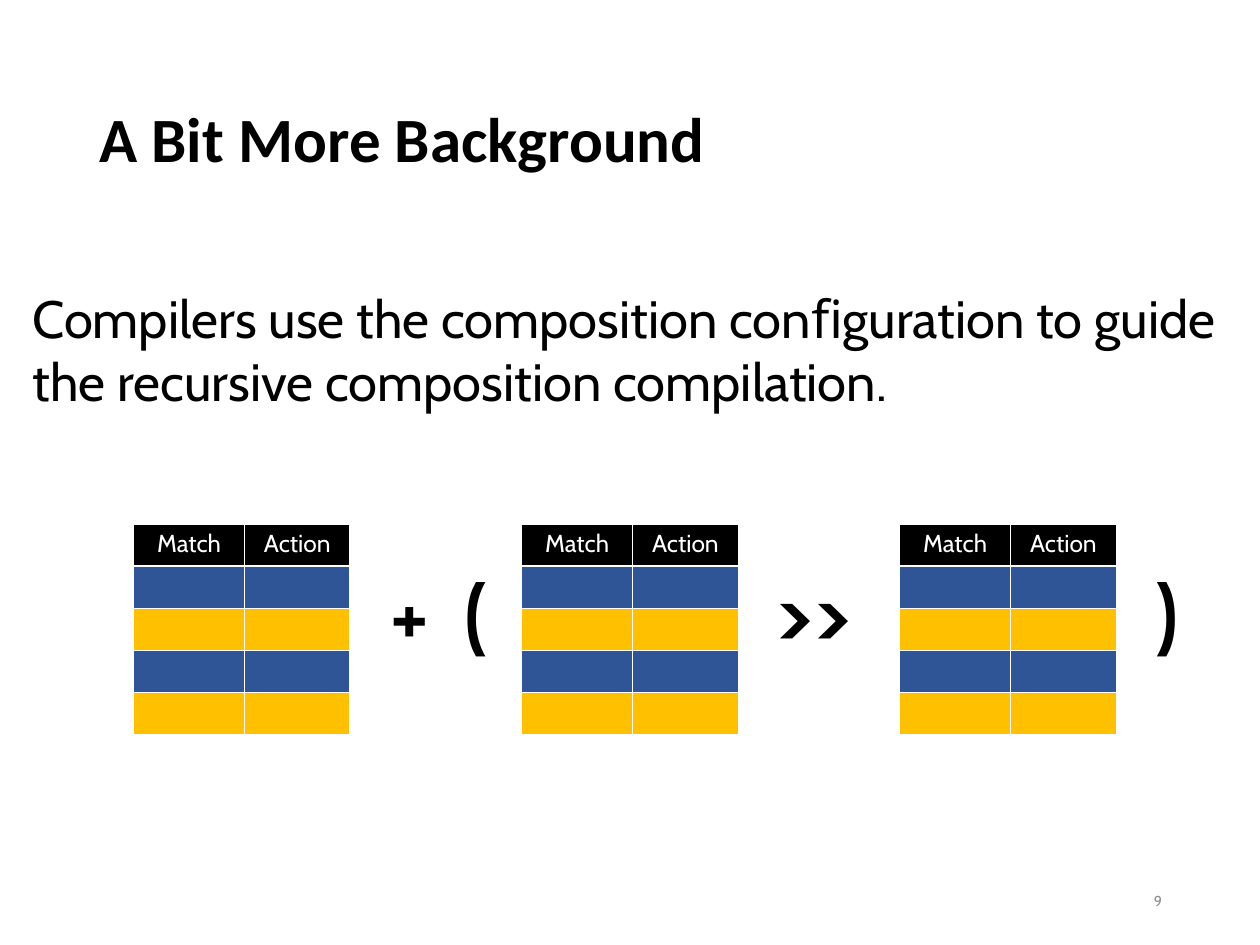
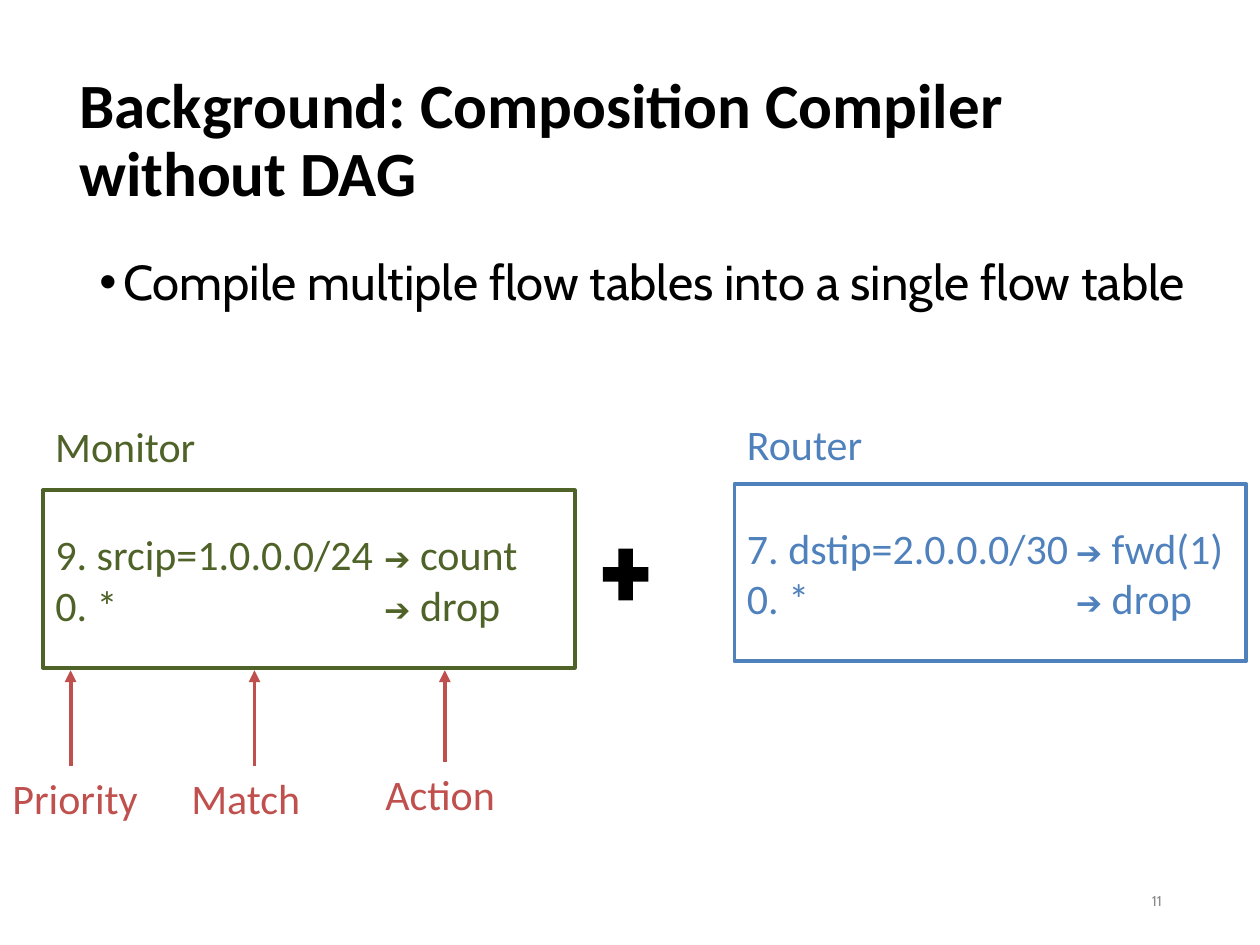
from lxml.etree import SubElement
from pptx import Presentation
from pptx.dml.color import RGBColor
from pptx.enum.shapes import MSO_CONNECTOR, MSO_SHAPE
from pptx.enum.text import MSO_ANCHOR, PP_ALIGN
from pptx.oxml.ns import qn
from pptx.util import Inches, Pt

# Shared look
BLACK, WHITE, GREY = "000000", "FFFFFF", "8C8C8C"
GREEN, BLUE, RED = "4F6228", "4F81BD", "C0504D"
ROW_FILLS = [BLACK] + ["2F5597", "FFC000"] * 2
HEAD, BODY = "Calibri", "Cabin"
COLS, ROWS = 100, 75      # the slide as a grid of 0.1 inch squares
TAB = 26.1                # where the action of a rule starts


def grid(*units):
    return [Inches(u / 10) for u in units]


def color(hex_string):
    return RGBColor.from_string(hex_string)


def write(tf, lines, size=24, font=HEAD, ink=BLACK, bold=False, align=None,
          anchor=MSO_ANCHOR.TOP, spacing=None, before=None, bullet=None, tab=None):
    """Fill a text frame; a line is a string or a list of (text, size, font)."""
    tf.vertical_anchor = anchor
    for i, line in enumerate(lines):
        p = tf.paragraphs[0] if i == 0 else tf.add_paragraph()
        p.alignment, p.line_spacing = align, spacing
        if before:
            p.space_before = Pt(before)
        pPr = p._p.get_or_add_pPr()
        if bullet:
            indent = Inches(0.19)
            pPr.set("marL", str(indent))
            pPr.set("indent", str(-indent))
            SubElement(pPr, qn("a:buFont"), typeface="Arial")
            SubElement(pPr, qn("a:buChar"), char=bullet)
        if tab:
            stops = SubElement(pPr, qn("a:tabLst"))
            SubElement(stops, qn("a:tab"), pos=str(grid(tab)[0]), algn="l")
        runs = [(line, size, font)] if isinstance(line, str) else line
        for text, run_size, run_font in runs:
            r = p.add_run()
            r.text = text
            r.font.size, r.font.name, r.font.bold = Pt(run_size), run_font, bold
            r.font.color.rgb = color(ink)


def add_text(slide, box, text, wrap=True, **fmt):
    sp = slide.shapes.add_textbox(*grid(*box))
    sp.text_frame.word_wrap = wrap
    write(sp.text_frame, [text], **fmt)
    return sp


def add_shape(slide, kind, box, fill, line=None):
    sp = slide.shapes.add_shape(kind, *grid(*box))
    sp.shadow.inherit = False
    sp.fill.solid()
    sp.fill.fore_color.rgb = color(fill)
    if line:
        sp.line.color.rgb = color(line)
        sp.line.width = Pt(2.25)
    else:
        sp.line.fill.background()
    return sp


def add_page(prs, title, left, number):
    """Blank slide with the common title and page number."""
    slide = prs.slides.add_slide(prs.slide_layouts[6])
    add_text(slide, (left, 4, 86.2, 14.5), title, size=36, bold=True,
             anchor=MSO_ANCHOR.MIDDLE, spacing=0.9)
    add_text(slide, (70.7, 69.5, 22.5, 4), number, size=8.2, font=BODY, ink=GREY,
             align=PP_ALIGN.RIGHT, anchor=MSO_ANCHOR.MIDDLE)
    return slide


def border_cell(cell):
    tcPr = cell._tc.get_or_add_tcPr()
    for i, side in enumerate(("lnL", "lnR", "lnT", "lnB")):
        ln = tcPr.makeelement(qn(f"a:{side}"), w=str(Pt(1)))
        SubElement(SubElement(ln, qn("a:solidFill")), qn("a:srgbClr"), val=WHITE)
        tcPr.insert(i, ln)


def add_flow_table(slide, left, top):
    """Match/Action table with alternating rule rows."""
    widths, height = (8.8, 8.4), 16.7
    n = len(ROW_FILLS)
    table = slide.shapes.add_table(n, 2, *grid(left, top, sum(widths), height)).table
    for col, width in zip(table.columns, widths):
        col.width = grid(width)[0]
    for i, (row, fill) in enumerate(zip(table.rows, ROW_FILLS)):
        row.height = grid(height / n)[0]
        for cell, heading in zip(row.cells, ("Match", "Action")):
            cell.margin_top = cell.margin_bottom = Inches(0.04)
            cell.fill.solid()
            cell.fill.fore_color.rgb = color(fill)
            border_cell(cell)
            if i == 0:
                write(cell.text_frame, [heading], size=14, font=BODY, ink=WHITE,
                      align=PP_ALIGN.CENTER)
            else:
                end = cell.text_frame.paragraphs[0]._p.get_or_add_endParaRPr()
                end.set("sz", "1400")


def add_rules(slide, left, name_top, box_top, width, name, rules, ink):
    """Named box with one (match, action) rule per line."""
    sp = add_shape(slide, MSO_SHAPE.RECTANGLE, (left, box_top, width, 14.1), WHITE, ink)
    lines = [[(f"{match}\t", 24, HEAD), ("➔", 18, "Arial"), (f" {action}", 24, HEAD)]
             for match, action in rules]
    write(sp.text_frame, lines, ink=ink, align=PP_ALIGN.LEFT,
          anchor=MSO_ANCHOR.MIDDLE, tab=TAB)
    add_text(slide, (left, name_top, 19.6, 5), name, ink=ink)


def add_pointer(slide, text, left, top, x, tip):
    """Label with an arrow up to the rule box."""
    width = 12
    label = add_text(slide, (left, top, width, 5), text, ink=RED)
    line = slide.shapes.add_connector(MSO_CONNECTOR.STRAIGHT, *grid(x, top, x, tip))
    if abs(left + width / 2 - x) < 0.1:
        line.begin_connect(label, 0)
    line.line.color.rgb = color(RED)
    line.line.width = Pt(2.25)
    SubElement(line.line._get_or_add_ln(), qn("a:tailEnd"), type="triangle")
    SubElement(line._element.spPr, qn("a:effectLst"))


def composition_slide(prs):
    slide = add_page(prs, "A Bit More Background", 6.9, "9")
    for left in (10.6, 41.4, 71.4):
        add_flow_table(slide, left, 41.6)
    # Operators between the tables
    for sign, left, width in (("+", 30, 5.6), ("(", 35.9, 4.1),
                              (">>", 60.6, 9.1), (")", 90.7, 4.1)):
        add_text(slide, (left, 44.1, width, 9.1), sign, wrap=False,
                 size=48, font=BODY, bold=True)
    add_text(slide, (1.6, 22.2, 97, 11.1),
             "Compilers use the composition conﬁguration to guide "
             "the recursive composition compilation.", size=30, font=BODY)


def compiler_slide(prs):
    slide = add_page(prs, "Background: Composition Compiler without DAG", 5.3, "11")
    add_text(slide, (6.9, 20, 93.1, 47.6),
             "Compile multiple flow tables into a single flow table",
             size=28, font=BODY, spacing=0.9, before=7.5, bullet="•")
    # The two flow tables and the sign between them
    add_shape(slide, MSO_SHAPE.MATH_PLUS, (47.2, 42.8, 4.9, 5.6), BLACK)
    add_rules(slide, 3.4, 32.9, 38.9, 42.2, "Monitor",
              [("9. srcip=1.0.0.0/24", "count"), ("0. *", "drop")], GREEN)
    add_rules(slide, 58.3, 32.7, 38.4, 40.6, "Router",
              [("7. dstip=2.0.0.0/30", "fwd(1)"), ("0. *", "drop")], BLUE)
    # Parts of a rule
    for text, left, top, x in (("Priority", 0, 60.8, 5.6), ("Match", 14.2, 60.8, 20.2),
                               ("Action", 29.6, 60.5, 35.3)):
        add_pointer(slide, text, left, top, x, 53.2)


def main():
    prs = Presentation()
    prs.slide_width, prs.slide_height = grid(COLS, ROWS)
    composition_slide(prs)
    compiler_slide(prs)
    prs.save("out.pptx")


if __name__ == "__main__":
    main()
